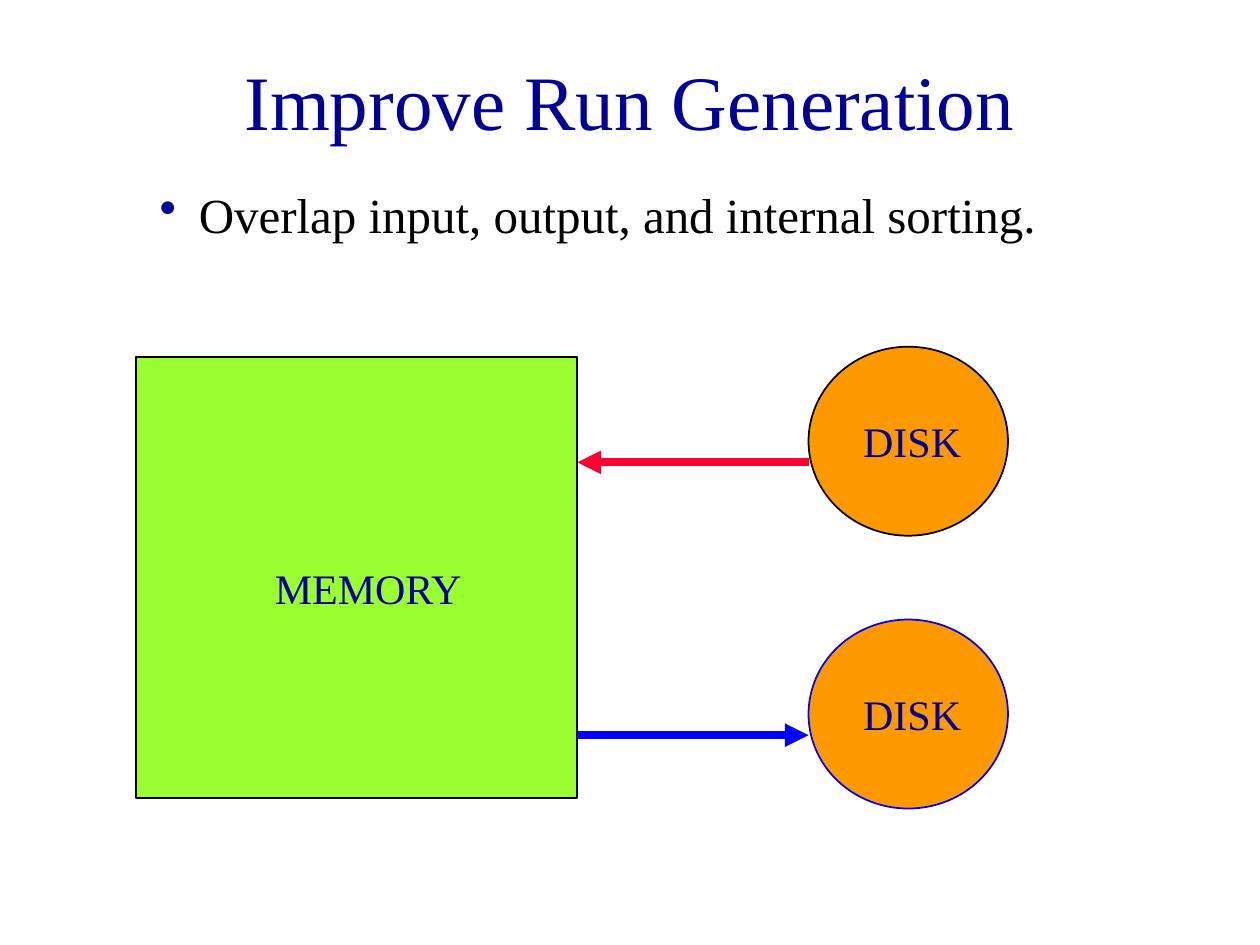
from lxml import etree
from pptx import Presentation
from pptx.dml.color import RGBColor
from pptx.enum import shapes, text
from pptx.oxml import ns
from pptx.util import Cm, Pt

FONT = "Times New Roman"
NAVY, BLACK, BLUE, RED = "000099", "000000", "0000FF", "FF0033"
GREEN, ORANGE = "99FF33", "FF9900"

TITLE = "Improve Run Generation"
POINT = "Overlap input, output, and internal sorting."
MEMORY = {"label": "MEMORY", "left": 2.75, "top": 7.2, "side": 8.89}
DISKS = [
    {"label": "DISK", "top": 6.99, "outline": BLACK, "arrow": RED, "reads": True},
    {"label": "DISK", "top": 12.49, "outline": BLUE, "arrow": BLUE, "reads": False},
]
DISK_LEFT, DISK_WIDTH, DISK_HEIGHT = 16.3, 4.02, 3.81
ARROW_DROP = 2.33


def rgb(value):
    return RGBColor.from_string(value)


def add_text(slide, content, left, top, width, height, size=24, color=NAVY,
             align=text.PP_ALIGN.LEFT, anchor=text.MSO_ANCHOR.TOP, bullet=None):
    box = slide.shapes.add_textbox(Cm(left), Cm(top), Cm(width), Cm(height))
    frame = box.text_frame
    frame.word_wrap = True
    frame.vertical_anchor = anchor
    paragraph = frame.paragraphs[0]
    paragraph.alignment = align
    if bullet:
        props = paragraph._p.get_or_add_pPr()
        props.set("marL", str(Cm(2.06)))
        props.set("indent", str(Cm(-0.79)))
        bullet_color = etree.SubElement(props, ns.qn("a:buClr"))
        etree.SubElement(bullet_color, ns.qn("a:srgbClr"), val=bullet)
        etree.SubElement(props, ns.qn("a:buChar"), char="•")
    run = paragraph.add_run()
    run.text = content
    run.font.name = FONT
    run.font.size = Pt(size)
    run.font.color.rgb = rgb(color)


def add_block(slide, kind, left, top, width, height, fill, outline):
    block = slide.shapes.add_shape(kind, Cm(left), Cm(top), Cm(width), Cm(height))
    block.shadow.inherit = False
    block.fill.solid()
    block.fill.fore_color.rgb = rgb(fill)
    block.line.color.rgb = rgb(outline)
    block.line.width = Pt(1)


def add_arrow(slide, start, end, y, color):
    arrow = slide.shapes.add_connector(
        shapes.MSO_CONNECTOR.STRAIGHT, Cm(start), Cm(y), Cm(end), Cm(y))
    arrow.line.color.rgb = rgb(color)
    arrow.line.width = Pt(4.5)
    etree.SubElement(arrow.line._get_or_add_ln(), ns.qn("a:tailEnd"), type="triangle")
    etree.SubElement(arrow._element.spPr, ns.qn("a:effectLst"))


def main():
    deck = Presentation()
    deck.slide_width, deck.slide_height = Cm(25.4), Cm(19.05)
    slide = deck.slides.add_slide(deck.slide_layouts[6])

    add_text(slide, TITLE, 1.9, 0.43, 21.59, 3.18, size=44,
             align=text.PP_ALIGN.CENTER, anchor=text.MSO_ANCHOR.MIDDLE)
    add_text(slide, POINT, 1.7, 3.6, 21.59, 1.7, size=28, color=BLACK, bullet=NAVY)

    left, top, side = MEMORY["left"], MEMORY["top"], MEMORY["side"]
    add_block(slide, shapes.MSO_SHAPE.RECTANGLE, left, top, side, side, GREEN, BLACK)
    add_text(slide, MEMORY["label"], left + 2.54, top + 4.02, 4.45, 1.27)

    for disk in DISKS:
        add_block(slide, shapes.MSO_SHAPE.OVAL, DISK_LEFT, disk["top"],
                  DISK_WIDTH, DISK_HEIGHT, ORANGE, disk["outline"])
        add_text(slide, disk["label"], DISK_LEFT + 0.85, disk["top"] + 1.27, 3.39, 1.27)
        ends = (left + side, DISK_LEFT)
        start, end = reversed(ends) if disk["reads"] else ends
        add_arrow(slide, start, end, disk["top"] + ARROW_DROP, disk["arrow"])

    deck.save("out.pptx")


if __name__ == "__main__":
    main()
